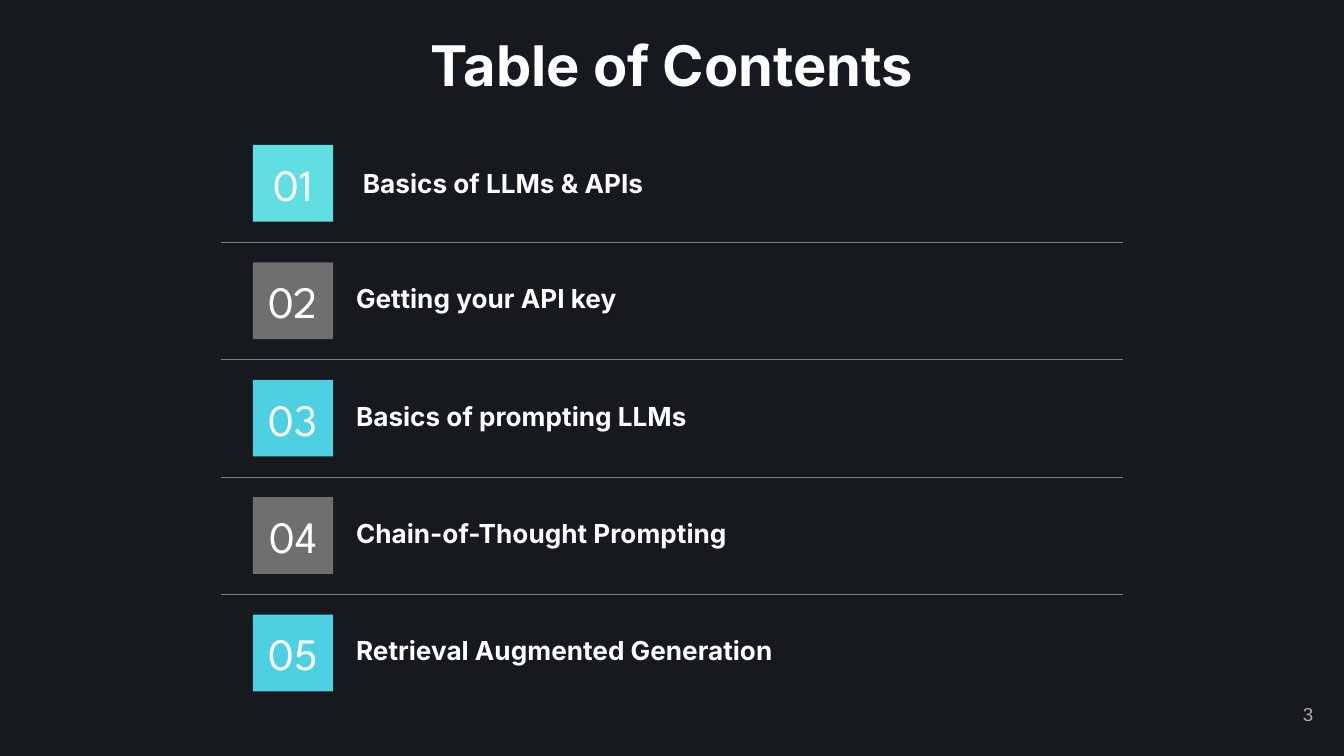
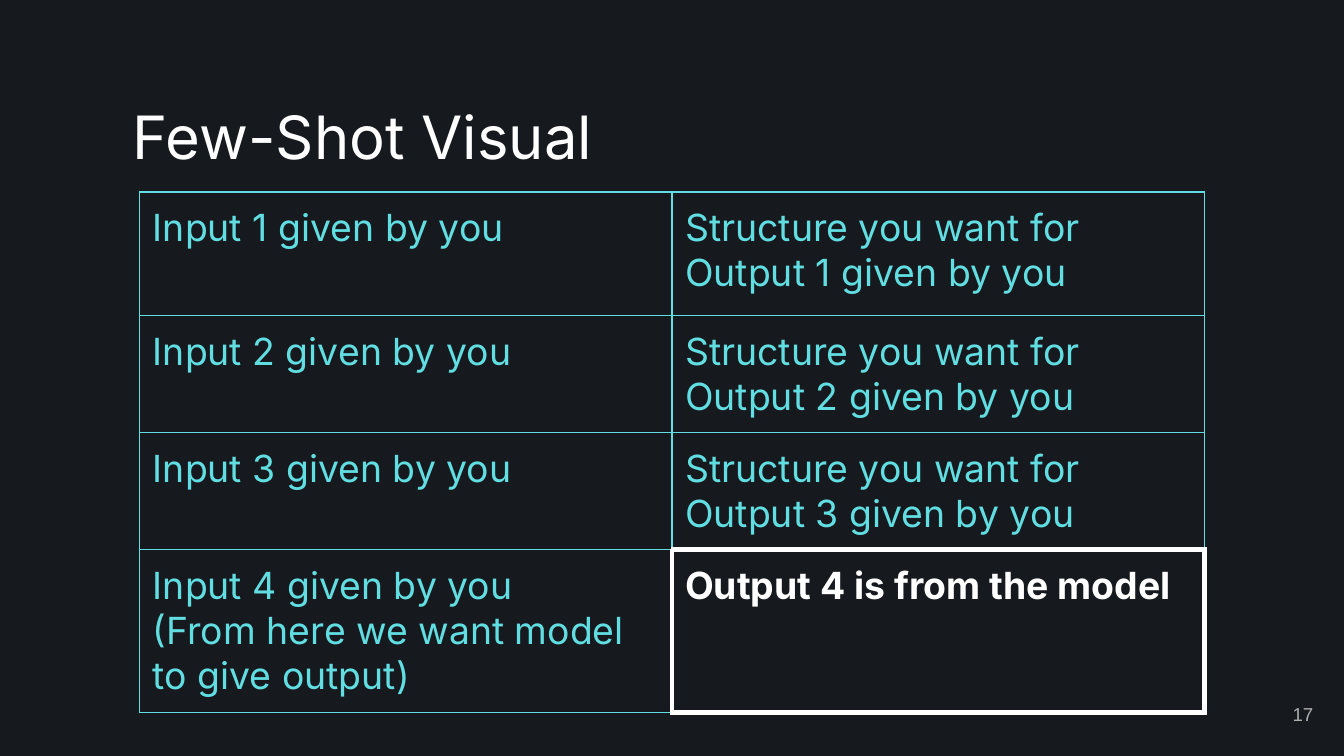
"""Build two dark slides: a numbered table of contents and a few-shot prompting table."""
from typing import NamedTuple

from lxml import etree
from pptx import Presentation
from pptx import util as u
from pptx.dml.color import RGBColor
from pptx.enum import shapes, text
from pptx.oxml import ns

NIGHT = RGBColor(0x16, 0x19, 0x1E)
WHITE = RGBColor(0xFF, 0xFF, 0xFF)
AQUA = RGBColor(0x61, 0xDE, 0xE2)
CYAN = RGBColor(0x4D, 0xD0, 0xE1)
GREY = RGBColor(0x6F, 0x6F, 0x6F)
RULE_GREY = RGBColor(0x7F, 0x7F, 0x7F)
NUMBER_GREY = RGBColor(0xAD, 0xAD, 0xAD)

INSET = 0.25
TOPIC_TOP, TOPIC_PITCH = 2.74, 2.22
TILE_LEFT, TILE_WIDTH, TILE_HEIGHT = 4.78, 1.52, 1.45
RULE_LEFT, RULE_RIGHT, RULE_DROP = 4.17, 21.23, 1.84


class Style(NamedTuple):
    """Look of a piece of text."""
    size: float
    color: RGBColor = WHITE
    bold: bool = False
    font: str = "Inter"
    align: text.PP_ALIGN = text.PP_ALIGN.LEFT


class Area(NamedTuple):
    """Position and size in centimetres."""
    left: float
    top: float
    width: float
    height: float


class Topic(NamedTuple):
    """One entry in the table of contents."""
    title: str
    fill: RGBColor
    left: float = 6.73
    drop: float = 0.38


class Border(NamedTuple):
    """Colour and width in points of a cell edge."""
    color: RGBColor
    width: float


TITLE = Style(30, bold=True, align=text.PP_ALIGN.CENTER)
HEADING = Style(32)
TOPIC = Style(14, bold=True)
TILE = Style(24, font="League Spartan", align=text.PP_ALIGN.CENTER)
PAGE_NUMBER = Style(10, NUMBER_GREY, font="Arial", align=text.PP_ALIGN.RIGHT)
GIVEN = Style(20, AQUA)
ANSWER = Style(20, bold=True)

THIN = Border(AQUA, 0.75)
THICK = Border(WHITE, 3)

TOPICS = [
    Topic("Basics of LLMs & APIs", AQUA, 6.86, 0.43),
    Topic("Getting your API key", GREY),
    Topic("Basics of prompting LLMs", CYAN),
    Topic("Chain-of-Thought Prompting", GREY),
    Topic("Retrieval Augmented Generation", CYAN),
]

SHOTS = [
    (f"Input {number} given by you", f"Structure you want for Output {number} given by you")
    for number in range(1, 4)
] + [("Input 4 given by you\n(From here we want model to give output)",
      "Output 4 is from the model")]
SHOT_HEIGHTS = [2.34, 2.21, 2.21, 3.08]


def write(frame, words: str, style: Style) -> None:
    """Fill a text frame and format its runs."""
    frame.text = words
    for paragraph in frame.paragraphs:
        paragraph.alignment = style.align
        for span in paragraph.runs:
            span.font.name = style.font
            span.font.size = u.Pt(style.size)
            span.font.bold = style.bold
            span.font.color.rgb = style.color


def add_label(page, area: Area, words: str, style: Style, inset: float = 0,
              anchor: text.MSO_ANCHOR = text.MSO_ANCHOR.TOP) -> None:
    """Add a wrapping text box with equal insets."""
    frame = page.shapes.add_textbox(*map(u.Cm, area)).text_frame
    frame.word_wrap = True
    frame.vertical_anchor = anchor
    frame.margin_left = frame.margin_right = u.Cm(inset)
    frame.margin_top = frame.margin_bottom = u.Cm(inset)
    write(frame, words, style)


def add_page(deck, number: int):
    """Add a dark page with its number."""
    page = deck.slides.add_slide(deck.slide_layouts[6])
    page.background.fill.solid()
    page.background.fill.fore_color.rgb = NIGHT
    add_label(page, Area(23.55, 12.95, 1.52, 1.09), str(number), PAGE_NUMBER, INSET,
              text.MSO_ANCHOR.MIDDLE)
    return page


def add_tile(page, top: float, words: str, fill: RGBColor) -> None:
    """Add a coloured number tile."""
    area = Area(TILE_LEFT, top, TILE_WIDTH, TILE_HEIGHT)
    tile = page.shapes.add_shape(shapes.MSO_SHAPE.RECTANGLE, *map(u.Cm, area))
    tile.shadow.inherit = False
    tile.fill.solid()
    tile.fill.fore_color.rgb = fill
    tile.line.fill.background()
    tile.text_frame.vertical_anchor = text.MSO_ANCHOR.MIDDLE
    write(tile.text_frame, words, TILE)


def add_rule(page, top: float) -> None:
    """Add a horizontal separator."""
    rule = page.shapes.add_connector(shapes.MSO_CONNECTOR.STRAIGHT, u.Cm(RULE_LEFT), u.Cm(top),
                                     u.Cm(RULE_RIGHT), u.Cm(top))
    rule.line.color.rgb = RULE_GREY
    rule.line.width = u.Pt(0.75)
    etree.SubElement(rule._element.spPr, ns.qn("a:effectLst"))


def set_borders(cell, borders: dict[str, Border]) -> None:
    """Draw the given edges of a cell, keyed L, R, T and B."""
    properties = cell._tc.get_or_add_tcPr()
    for index, (side, border) in enumerate(borders.items()):
        edge = etree.Element(ns.qn(f"a:ln{side}"), w=str(u.Pt(border.width)))
        fill = etree.SubElement(edge, ns.qn("a:solidFill"))
        etree.SubElement(fill, ns.qn("a:srgbClr"), val=str(border.color))
        properties.insert(index, edge)


def build_contents(deck) -> None:
    """Build the table of contents."""
    page = add_page(deck, 3)
    add_label(page, Area(0, 0.33, 25.4, 1.65), "Table of Contents", TITLE, INSET)
    for index, topic in enumerate(TOPICS):
        top = TOPIC_TOP + index * TOPIC_PITCH
        add_tile(page, top, f"{index + 1:02}", topic.fill)
        add_label(page, Area(topic.left, top + topic.drop, 17.37, 0.76), topic.title, TOPIC)
        if index < len(TOPICS) - 1:
            add_rule(page, top + RULE_DROP)


def build_few_shot(deck) -> None:
    """Build the few-shot table."""
    page = add_page(deck, 17)
    add_label(page, Area(2.51, 1.88, 20.02, 1.37), "Few-Shot Visual", HEADING)
    area = Area(2.64, 3.63, 20.12, sum(SHOT_HEIGHTS))
    table = page.shapes.add_table(len(SHOTS), 2, *map(u.Cm, area)).table
    table.first_row = table.horz_banding = False
    last = len(SHOTS) - 1
    for row, (shot, height) in enumerate(zip(SHOTS, SHOT_HEIGHTS)):
        table.rows[row].height = u.Cm(height)
        for column, words in enumerate(shot):
            cell = table.cell(row, column)
            cell.margin_left = cell.margin_right = u.Cm(INSET)
            cell.margin_top = cell.margin_bottom = u.Cm(INSET)
            cell.fill.background()
            is_answer = (row, column) == (last, 1)
            write(cell.text_frame, words, ANSWER if is_answer else GIVEN)
            borders = dict.fromkeys("LRTB", THICK if is_answer else THIN)
            if (row, column) == (last, 0):
                borders["R"] = THICK
            if (row, column) == (last - 1, 1):
                borders["B"] = THICK
            set_borders(cell, borders)


def main() -> None:
    """Build and save the deck."""
    deck = Presentation()
    deck.slide_width, deck.slide_height = u.Cm(25.4), u.Cm(14.29)
    build_contents(deck)
    build_few_shot(deck)
    deck.save("out.pptx")


if __name__ == "__main__":
    main()
